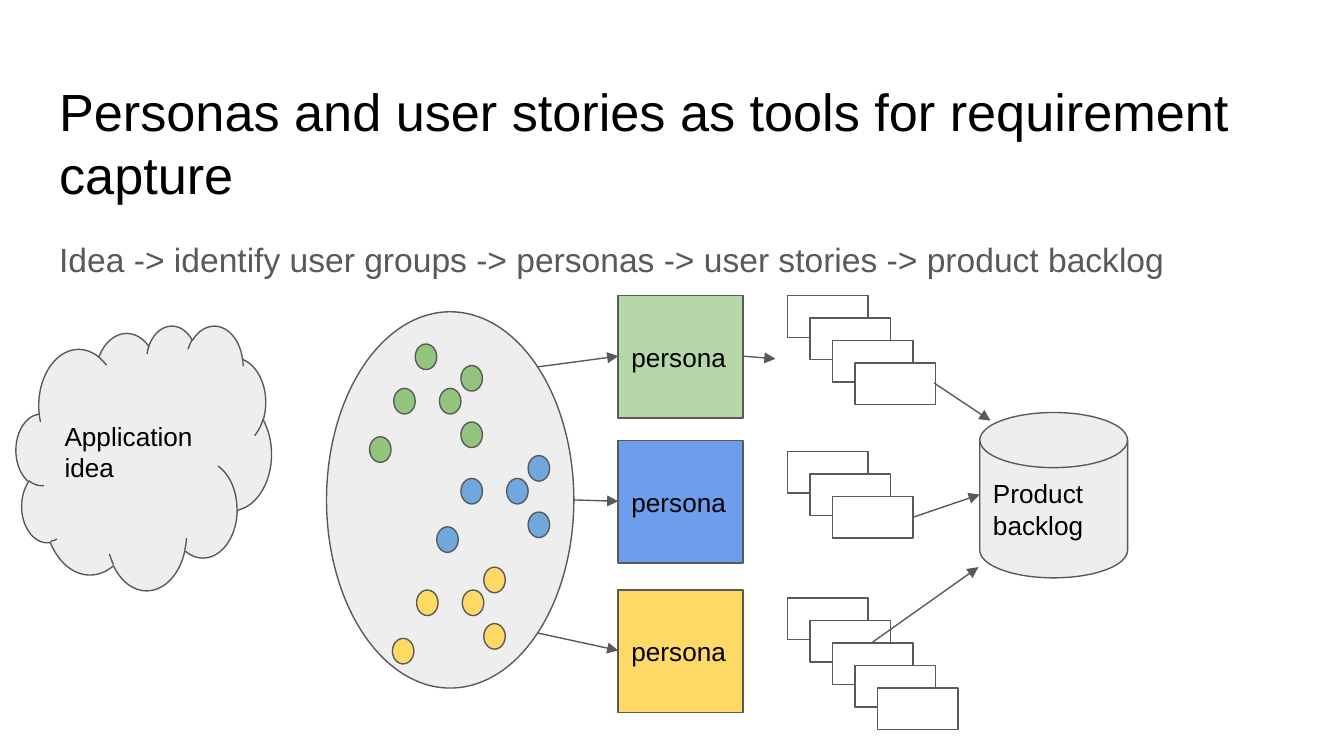
from lxml.etree import SubElement
from pptx import Presentation
from pptx.dml.color import RGBColor
from pptx.enum.shapes import MSO_CONNECTOR, MSO_SHAPE
from pptx.enum.text import MSO_ANCHOR, MSO_AUTO_SIZE, PP_ALIGN
from pptx.oxml.ns import qn
from pptx.util import Inches, Pt

CELL = Inches(0.1)
COLUMNS, ROWS = 100, 56.25
INK, OUTLINE, GREY, WHITE = "000000", "595959", "EEEEEE", "FFFFFF"
colour = RGBColor.from_string


def add_part(kind, left, top, width, height, fill, label=""):
    part = slide.shapes.add_shape(kind, *(round(n * CELL) for n in (left, top, width, height)))
    part.shadow.inherit = False
    part.fill.solid()
    part.fill.fore_color.rgb = colour(fill)
    part.line.color.rgb = colour(OUTLINE)
    part.line.width = Pt(0.75)
    if label:
        frame = part.text_frame
        frame.text = label
        frame.word_wrap = True
        frame.vertical_anchor = MSO_ANCHOR.MIDDLE
        frame.margin_left = frame.margin_right = frame.margin_top = frame.margin_bottom = CELL
        paragraph = frame.paragraphs[0]
        paragraph.alignment = PP_ALIGN.LEFT
        paragraph.font.name = "Arial"
        paragraph.font.size = Pt(14)
        paragraph.font.color.rgb = colour(INK)


def add_arrow(*ends):
    arrow = slide.shapes.add_connector(MSO_CONNECTOR.STRAIGHT, *(round(n * CELL) for n in ends))
    arrow.line.color.rgb = colour(OUTLINE)
    arrow.line.width = Pt(0.75)
    SubElement(arrow.line._get_or_add_ln(), qn("a:tailEnd"), type="triangle")
    SubElement(arrow._element.spPr, qn("a:effectLst"))


deck = Presentation()
deck.slide_width = COLUMNS * CELL
deck.slide_height = round(ROWS * CELL)
slide = deck.slides.add_slide(deck.slide_layouts[1])

title, flow = slide.placeholders
headings = [
    (title, 4.9, 6.3, "Personas and user stories as tools for requirement capture", 28, INK),
    (flow, 16.3, 37.4, "Idea -> identify user groups -> personas -> user stories -> product backlog", 18, OUTLINE),
]
for heading, top, height, wording, size, ink in headings:
    heading.left, heading.width = round(3.4 * CELL), round(93.2 * CELL)
    heading.top, heading.height = round(top * CELL), round(height * CELL)
    frame = heading.text_frame
    frame.text = wording
    frame.word_wrap = True
    frame.auto_size = MSO_AUTO_SIZE.NONE
    frame.vertical_anchor = MSO_ANCHOR.TOP
    frame.margin_left = frame.margin_right = frame.margin_top = frame.margin_bottom = CELL
    paragraph = frame.paragraphs[0]
    properties = paragraph._p.get_or_add_pPr()
    properties.set("marL", "0")
    properties.set("indent", "0")
    SubElement(properties, qn("a:buNone"))
    paragraph.alignment = PP_ALIGN.LEFT
    paragraph.space_before = Pt(0)
    paragraph.font.name = "Arial"
    paragraph.font.size = Pt(size)
    paragraph.font.color.rgb = colour(ink)
flow.text_frame.paragraphs[0].line_spacing = 1.15
flow.text_frame.paragraphs[0].space_after = Pt(16)

add_part(MSO_SHAPE.CLOUD, 1.2, 24.2, 19, 19.7, GREY, "Application idea")
add_part(MSO_SHAPE.OVAL, 24.3, 23.2, 18.4, 28, GREY)

user_group = [(29.3, 28.9), (34.3, 27.2), (32.7, 28.9), (27.5, 32.5), (34.3, 31.4)]
add_part(MSO_SHAPE.OVAL, 30.9, 25.6, 1.6, 1.9, "93C47D")
for shade, right, down in [("93C47D", 0, 0), ("6FA8DC", 5, 6.7), ("FFD966", 1.7, 15)]:
    for column, row in user_group:
        add_part(MSO_SHAPE.OVAL, column + right, row + down, 1.6, 1.9, shade)

personas = [
    ("B6D7A8", 22, 22, 4, (40, 27.3)),
    ("6D9EEB", 32.8, 33.6, 3, (42.7, 37.2)),
    ("FFD966", 43.9, 44.5, 5, (40, 47.1)),
]
for shade, persona_top, stories_top, stories, group_edge in personas:
    add_part(MSO_SHAPE.RECTANGLE, 46, persona_top, 9.3, 9.1, shade, "persona")
    add_arrow(*group_edge, 46, persona_top + 4.5)
    for story in range(stories):
        step = 1.67 * story
        add_part(MSO_SHAPE.RECTANGLE, 58.6 + step, stories_top + step, 6, 3.1, WHITE)

add_part(MSO_SHAPE.FLOWCHART_MAGNETIC_DISK, 72.9, 30.7, 11, 12.3, GREY, "Product backlog")
add_arrow(55.3, 26.5, 57.7, 26.7)
add_arrow(69.5, 28.5, 73.7, 31.3)
add_arrow(67.9, 38.5, 72.9, 36.8)
add_arrow(64.9, 47.8, 72.8, 42.2)

deck.save("out.pptx")
